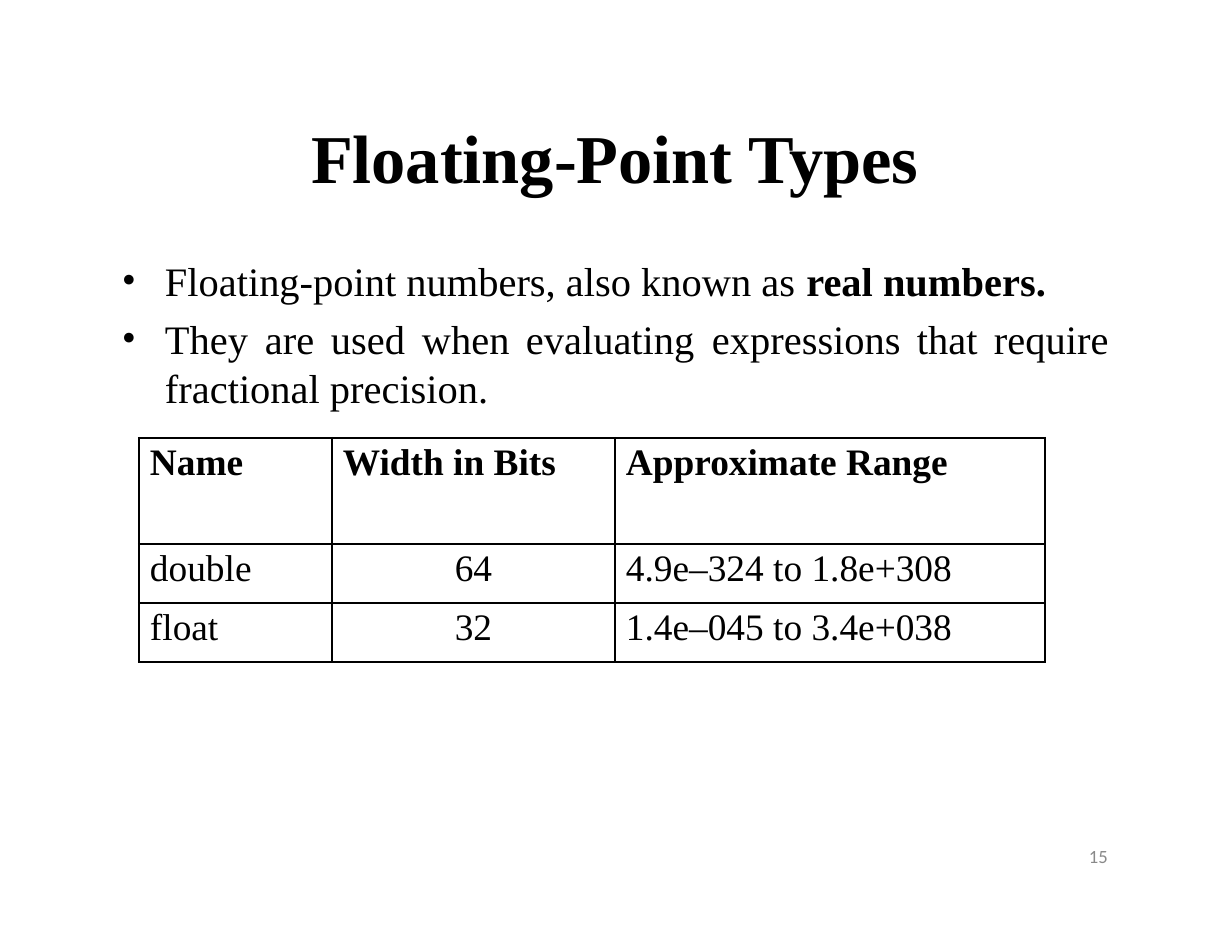
from dataclasses import dataclass

from lxml.etree import SubElement
from pptx import Presentation
from pptx.dml.color import RGBColor
from pptx.enum.text import MSO_ANCHOR as ANCHOR, MSO_AUTO_SIZE as FIT, PP_ALIGN as ALIGN
from pptx.oxml.ns import qn
from pptx.util import Emu, Pt

PX = 914400 // 112


@dataclass(frozen=True)
class Theme:
    serif: str = "Times New Roman"
    sans: str = "Calibri"
    ink: str = "000000"
    muted: str = "898989"
    title: int = 44
    body: int = 26
    cell: int = 24
    number: int = 12
    outer: float = 1.5
    inner: float = 1


def px(n):
    return Emu(n * PX)


def assign(obj, values):
    for name, value in values.items():
        setattr(obj, name, value)


class Deck:
    def __init__(self, theme, width, height):
        self.theme = theme
        self.prs = Presentation()
        assign(self.prs, {"slide_width": px(width), "slide_height": px(height)})

    def add_slide(self):
        self.s = self.prs.slides.add_slide(self.prs.slide_layouts[5])

    def frame(self, tf, top=0):
        assign(tf, {"word_wrap": True, "auto_size": FIT.NONE, "vertical_anchor": ANCHOR.TOP,
                    "margin_left": 0, "margin_right": 0, "margin_top": px(top), "margin_bottom": 0})

    def run(self, p, text, size, bold=False, font=None, color=None):
        r = p.add_run()
        r.text = text
        assign(r.font, {"size": Pt(size), "bold": bold, "name": font or self.theme.serif})
        r.font.color.rgb = RGBColor.from_string(color or self.theme.ink)

    def textbox(self, box, top=0):
        tf = self.s.shapes.add_textbox(*map(px, box)).text_frame
        self.frame(tf, top)
        return tf

    def title(self, text, box):
        sp = self.s.shapes.title
        assign(sp, dict(zip(("left", "top", "width", "height"), map(px, box))))
        self.frame(sp.text_frame, 1)
        p = sp.text_frame.paragraphs[0]
        assign(p, {"alignment": ALIGN.LEFT, "space_before": Pt(1)})
        self.run(p, text, self.theme.title, True)

    def bullets(self, items, box, indent):
        tf = self.textbox(box, 11)
        for i, (runs, before, stops) in enumerate(items):
            p = tf.add_paragraph() if i else tf.paragraphs[0]
            p.space_before = Pt(before)
            pPr = p._p.get_or_add_pPr()
            pPr.set("marL", str(px(indent)))
            pPr.set("indent", str(-px(indent)))
            SubElement(pPr, qn("a:buFont")).set("typeface", self.theme.serif)
            SubElement(pPr, qn("a:buChar")).set("char", "•")
            tabs = SubElement(pPr, qn("a:tabLst"))
            for stop in (indent, *stops):
                tab = SubElement(tabs, qn("a:tab"))
                tab.set("pos", str(px(stop)))
                tab.set("algn", "l")
            for text, bold in runs:
                self.run(p, text, self.theme.body, bold)

    def border(self, cell, edges):
        tcPr = cell._tc.get_or_add_tcPr()
        for side, is_outer in edges.items():
            ln = SubElement(tcPr, qn(f"a:ln{side}"))
            ln.set("w", str(Pt(self.theme.outer if is_outer else self.theme.inner)))
            fill = SubElement(ln, qn("a:solidFill"))
            SubElement(fill, qn("a:srgbClr")).set("val", self.theme.ink)

    def table(self, rows, left, top, widths, heights, centred):
        box = (left, top, sum(widths), sum(heights))
        tbl = self.s.shapes.add_table(len(rows), len(widths), *map(px, box)).table
        assign(tbl, {"first_row": False, "horz_banding": False})
        for col, width in zip(tbl.columns, widths):
            col.width = px(width)
        for i, (row, height) in enumerate(zip(rows, heights)):
            tbl.rows[i].height = px(height)
            for j, text in enumerate(row):
                cell = tbl.cell(i, j)
                middle = i > 0 and j == centred
                assign(cell, {"margin_left": px(0 if middle else 11), "margin_right": 0,
                              "margin_top": px(4), "margin_bottom": 0})
                self.border(cell, {"L": j == 0, "R": j == len(widths) - 1,
                                   "T": i == 0, "B": i == len(rows) - 1})
                cell.fill.background()
                p = cell.text_frame.paragraphs[0]
                assign(p, {"space_before": Pt(2.6),
                           "alignment": ALIGN.CENTER if middle else ALIGN.LEFT})
                self.run(p, text, self.theme.cell, i == 0)

    def page_number(self, text, box):
        p = self.textbox(box).paragraphs[0]
        p.line_spacing = Pt(12.4)
        self.run(p, text, self.theme.number, font=self.theme.sans, color=self.theme.muted)


def main():
    deck = Deck(Theme(), 1232, 952)
    deck.add_slide()
    deck.title("Floating-Point Types", (311, 114, 620, 85))
    usage = "They\tare\tused\twhen\tevaluating\texpressions\tthat\trequire fractional precision."
    deck.bullets([
        ([("Floating-point numbers, also known as ", False), ("real numbers.", True)], 7.2, ()),
        ([(usage, False)], 6.2, (143, 209, 300, 404, 590, 795, 872)),
    ], (122, 245, 989, 168), 43)
    deck.table([
        ("Name", "Width in Bits", "Approximate Range"),
        ("double", "64", "4.9e–324 to 1.8e+308"),
        ("float", "32", "1.4e–045 to 3.4e+038"),
    ], 139, 438, (193, 283, 430), (106, 59, 59), centred=1)
    deck.page_number("15", (1089, 848, 24, 21))
    deck.prs.save("out.pptx")


if __name__ == "__main__":
    main()
